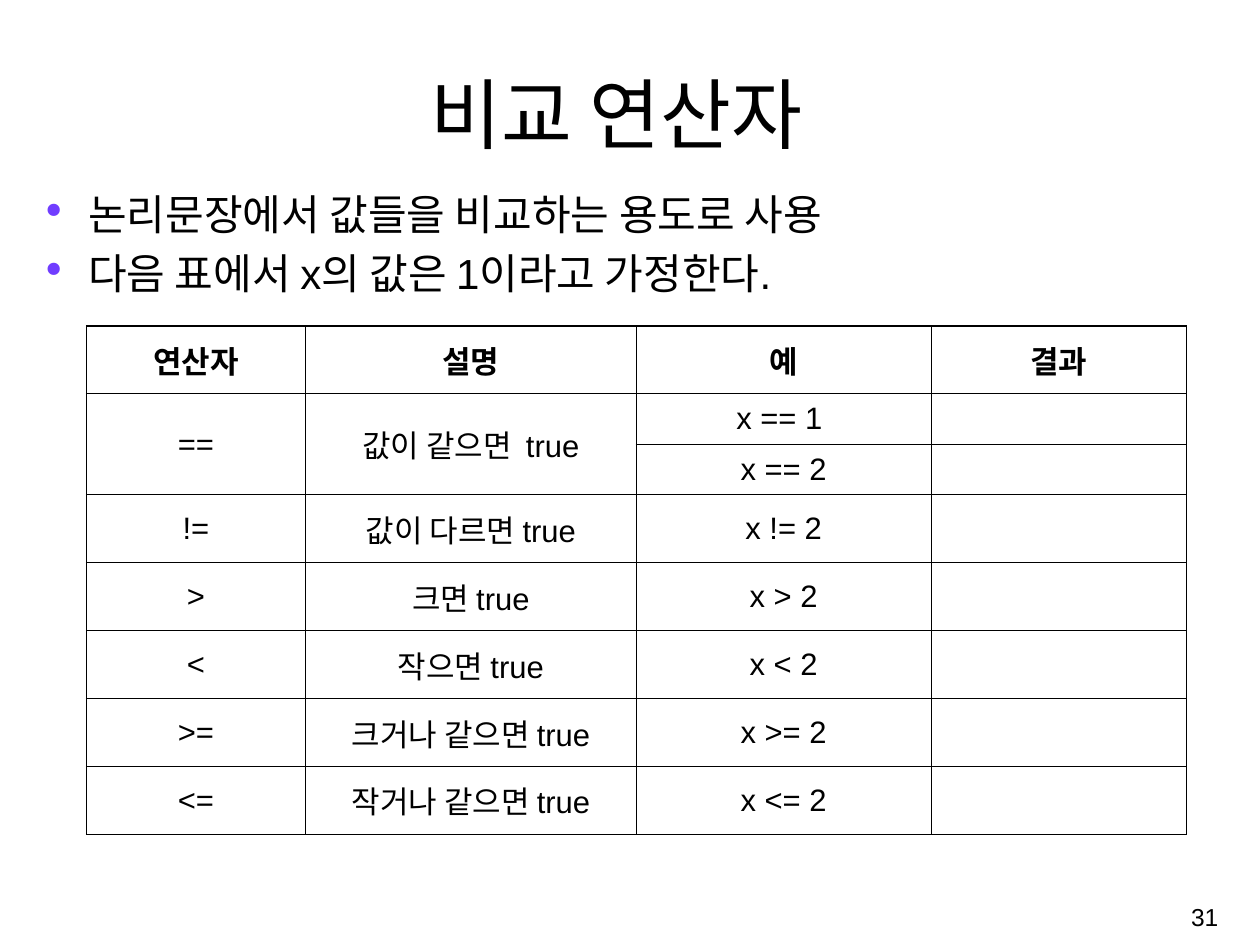
from lxml.etree import SubElement
from pptx import Presentation
from pptx.dml.color import RGBColor
from pptx.enum.text import MSO_ANCHOR, PP_ALIGN
from pptx.oxml.ns import qn
from pptx.util import Inches, Pt

WIDE, HIGH = 12.99, 9.74
FONT = "Arial"
COLORS = {"ink": "000000", "bullet": "703DFF"}
COLS = [2.26, 3.41, 3.04, 2.63]
ROWS = [0.7, 0.52, 0.52] + [0.7] * 5
HEAD = ["연산자", "설명", "예", "결과"]
BODY = [
    ["==", "값이 같으면  true", "x == 1 ", ""],
    ["", "", "x == 2", ""],
    ["!=", "값이 다르면 true", "x != 2", ""],
    [">", "크면 true", "x > 2", ""],
    ["<", "작으면 true", "x < 2", ""],
    [">=", "크거나 같으면 true", "x >= 2", ""],
    ["<=", "작거나 같으면 true", "x <= 2", ""],
]
POINTS = [
    "논리문장에서 값들을 비교하는 용도로 사용",
    "다음 표에서 x의 값은 1이라고 가정한다.",
]


def style(para, size, align=PP_ALIGN.LEFT, bold=False):
    para.alignment = align
    font = para.font
    font.name, font.size, font.bold = FONT, Pt(size), bold
    font.color.rgb = RGBColor.from_string(COLORS["ink"])


def add_text(slide, box, text, size, align, anchor):
    frame = slide.shapes.add_textbox(*map(Inches, box)).text_frame
    frame.word_wrap = True
    frame.vertical_anchor = anchor
    frame.text = text
    for para in frame.paragraphs:
        style(para, size, align)
    return frame


def add_bullet(para, indent):
    props = para._p.get_or_add_pPr()
    props.set("marL", str(Inches(indent)))
    props.set("indent", str(-Inches(indent)))
    color = SubElement(props, qn("a:buClr"))
    SubElement(color, qn("a:srgbClr"), val=COLORS["bullet"])
    SubElement(props, qn("a:buChar"), char="∙")
    props.append(props.find(qn("a:defRPr")))


def add_points(slide, box):
    frame = add_text(slide, box, "\n".join(POINTS), 31.2, PP_ALIGN.LEFT, MSO_ANCHOR.TOP)
    for para in frame.paragraphs:
        add_bullet(para, 0.49)
    frame.paragraphs[1].space_before = Pt(6.2)


def add_border(cell, width):
    props = cell._tc.get_or_add_tcPr()
    for side in ("lnL", "lnR", "lnT", "lnB"):
        line = SubElement(props, qn(f"a:{side}"), w=str(Pt(width)))
        fill = SubElement(line, qn("a:solidFill"))
        SubElement(fill, qn("a:srgbClr"), val=COLORS["ink"])


def fill_cell(cell, text, bold):
    add_border(cell, 1)
    cell.fill.background()
    cell.vertical_anchor = MSO_ANCHOR.MIDDLE
    cell.margin_left = cell.margin_right = Inches(0.13)
    cell.margin_top = cell.margin_bottom = Inches(0.06)
    cell.text = text
    style(cell.text_frame.paragraphs[0], 23, PP_ALIGN.CENTER, bold)


def add_grid(slide, left, top):
    box = map(Inches, (left, top, sum(COLS), sum(ROWS)))
    table = slide.shapes.add_table(len(ROWS), len(COLS), *box).table
    table.first_row = table.horz_banding = False
    for col, width in zip(table.columns, COLS):
        col.width = Inches(width)
    for row, height in zip(table.rows, ROWS):
        row.height = Inches(height)
    for r, texts in enumerate([HEAD] + BODY):
        for c, text in enumerate(texts):
            fill_cell(table.cell(r, c), text, r == 0)
    for c in (0, 1):
        table.cell(1, c).merge(table.cell(2, c))


def main():
    deck = Presentation()
    deck.slide_width, deck.slide_height = Inches(WIDE), Inches(HIGH)
    slide = deck.slides.add_slide(deck.slide_layouts[6])
    add_text(slide, (1.05, 0.61, 10.61, 1.08), "비교 연산자", 57.2,
             PP_ALIGN.CENTER, MSO_ANCHOR.BOTTOM)
    add_points(slide, (0.32, 1.89, 12.32, 7.06))
    add_grid(slide, 0.89, 3.36)
    add_text(slide, (9.98, 9.15, 2.68, 0.6), "31", 18.2,
             PP_ALIGN.RIGHT, MSO_ANCHOR.MIDDLE)
    deck.save("out.pptx")


if __name__ == "__main__":
    main()
